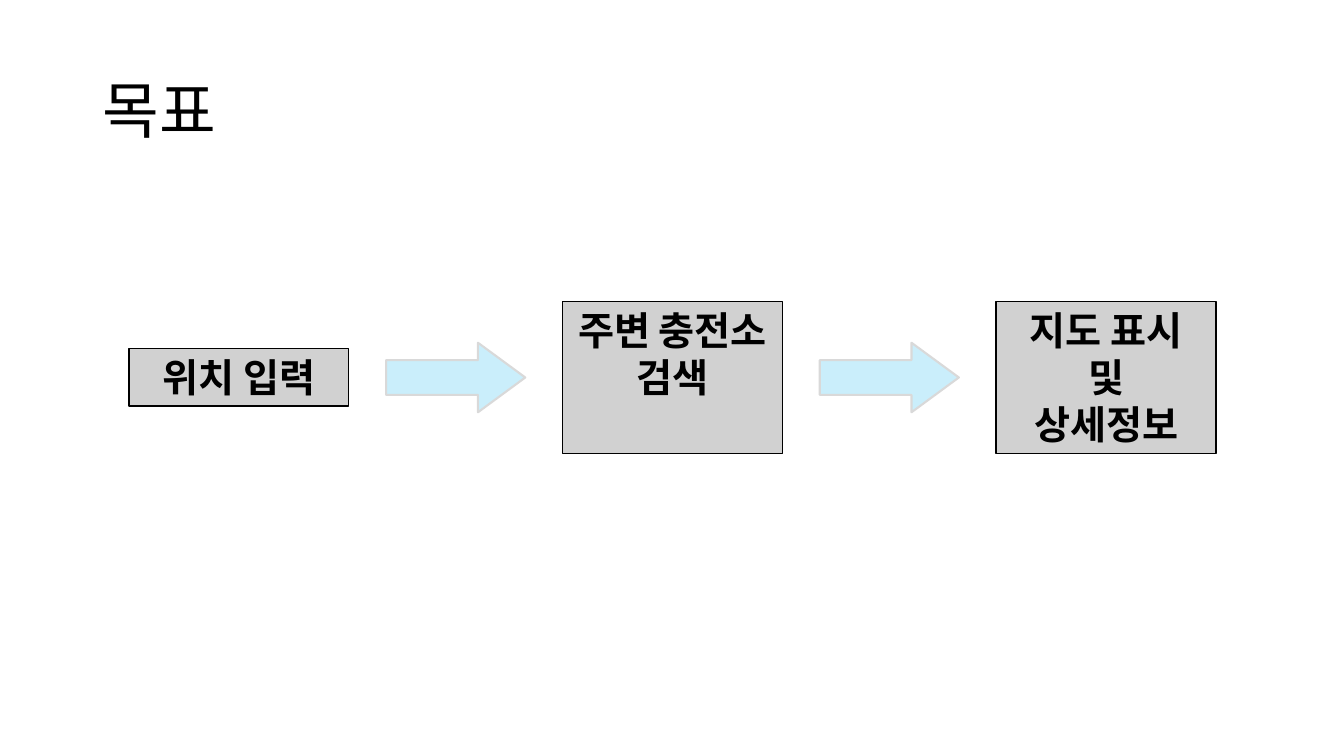
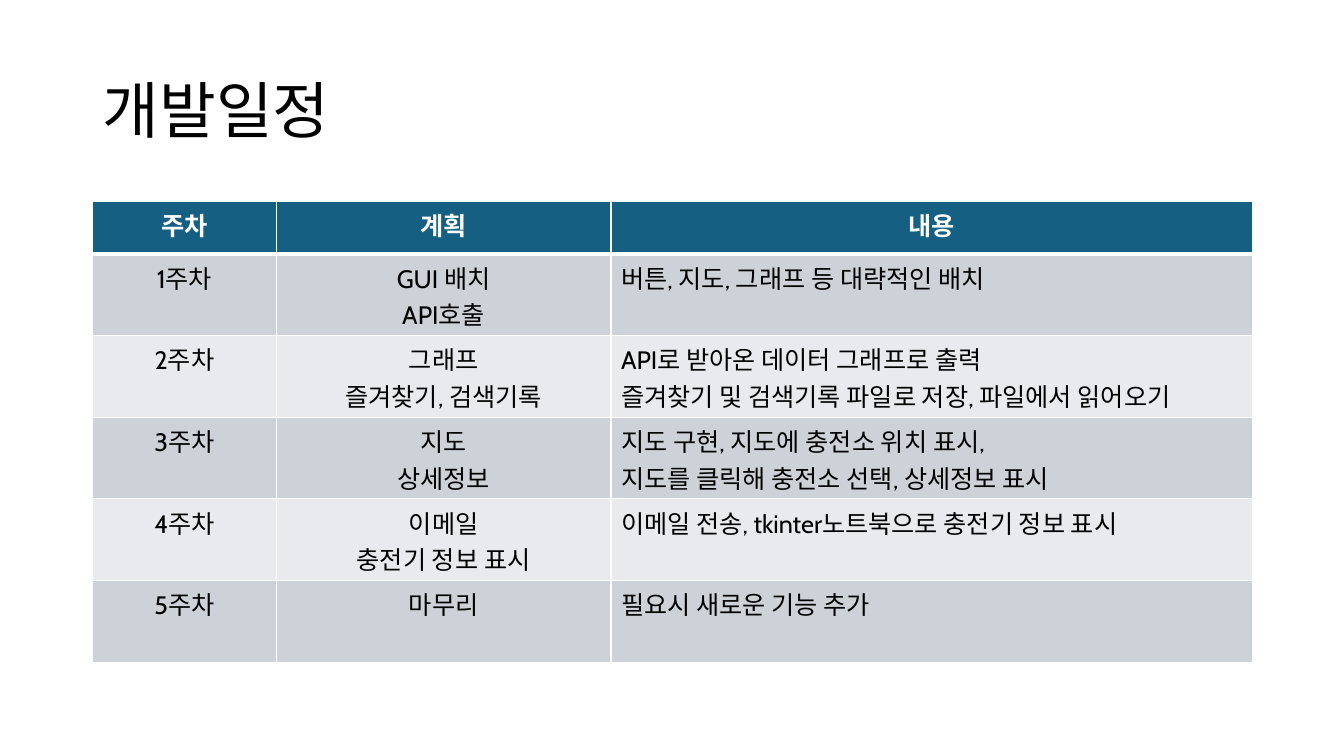
import dataclasses

import lxml.etree
import pptx
import pptx.dml.color
import pptx.enum.shapes
import pptx.enum.text
import pptx.oxml.ns
import pptx.util

Inches = pptx.util.Inches
Pt = pptx.util.Pt
ALIGN = pptx.enum.text.PP_ALIGN
ANCHOR = pptx.enum.text.MSO_ANCHOR
SHAPE = pptx.enum.shapes.MSO_SHAPE


@dataclasses.dataclass(frozen=True)
class Theme:
    font: str = "Cabin"
    text: str = "000000"
    light: str = "FFFFFF"
    step_fill: str = "D1D1D1"
    arrow_fill: str = "CAEEFB"
    arrow_line: str = "D9D9D9"
    header_fill: str = "156082"
    band_fills: tuple = ("CCD2D8", "E8EAED")
    title_size: int = 44
    step_size: int = 28
    table_size: int = 18


THEME = Theme()
TITLE_BOX = (0.92, 0.4, 11.5, 1.45)
FLOW_BOX = (1.28, 2.99, 10.78, 1.51)
TABLE_BOX = (0.92, 2, 11.5, 4.57)

# Each step: its lines of text and the height of its box
STEPS = [
    (["위치 입력"], 0.57),
    (["주변 충전소 검색"], 1.51),
    (["지도 표시", "및", "상세정보"], 1.51),
]

COLUMN_WIDTHS = [1.82, 3.32, 6.36]
HEADER_HEIGHT = 0.52
SCHEDULE = [
    (["주차"], ["계획"], ["내용"]),
    (["1주차"], ["GUI 배치", "API호출"], ["버튼, 지도, 그래프 등 대략적인 배치"]),
    (["2주차"], ["그래프", "즐겨찾기, 검색기록"],
     ["API로 받아온 데이터 그래프로 출력",
      "즐겨찾기 및 검색기록 파일로 저장, 파일에서 읽어오기"]),
    (["3주차"], ["지도", "상세정보"],
     ["지도 구현, 지도에 충전소 위치 표시,",
      "지도를 클릭해 충전소 선택, 상세정보 표시"]),
    (["4주차"], ["이메일", "충전기 정보 표시"],
     ["이메일 전송, tkinter노트북으로 충전기 정보 표시"]),
    (["5주차"], ["마무리"], ["필요시 새로운 기능 추가"]),
]


def rgb(color):
    return pptx.dml.color.RGBColor.from_string(color)


def set_attributes(target, values):
    for name, value in values.items():
        setattr(target, name, value)


def write_lines(text_frame, lines, size, color=THEME.text, bold=False,
                paragraph_format=None):
    """Write one paragraph per line."""
    for index, line in enumerate(lines):
        paragraph = text_frame.add_paragraph() if index else text_frame.paragraphs[0]
        set_attributes(paragraph, paragraph_format or {})
        run = paragraph.add_run()
        run.text = line
        set_attributes(run.font, {"name": THEME.font, "size": Pt(size), "bold": bold})
        run.font.color.rgb = rgb(color)


def add_title(slide, title, box):
    shape = slide.shapes.add_textbox(*map(Inches, box))
    set_attributes(shape.text_frame,
                   {"word_wrap": True, "vertical_anchor": ANCHOR.MIDDLE})
    write_lines(shape.text_frame, [title], THEME.title_size,
                paragraph_format={"line_spacing": 0.9})


def add_filled_shape(slide, kind, box, fill, line, line_width):
    shape = slide.shapes.add_shape(kind, *map(Inches, box))
    shape.shadow.inherit = False
    shape.fill.solid()
    shape.fill.fore_color.rgb = rgb(fill)
    shape.line.color.rgb = rgb(line)
    shape.line.width = Pt(line_width)
    return shape


def add_step(slide, lines, box):
    shape = add_filled_shape(slide, SHAPE.RECTANGLE, box,
                             THEME.step_fill, THEME.text, 1)
    set_attributes(shape.text_frame,
                   {"word_wrap": True, "vertical_anchor": ANCHOR.TOP})
    write_lines(shape.text_frame, lines, THEME.step_size, bold=True,
                paragraph_format={"alignment": ALIGN.CENTER})


def add_flow(slide, steps, box):
    """Spread the steps across the box, with an arrow centred in each gap."""
    left, top, width, height = box
    step_width, arrow_width, arrow_height = 2.18, 1.38, 0.69
    pitch = (width - step_width) / (len(steps) - 1)
    gap = pitch - step_width
    middle = top + height / 2
    for index, (lines, step_height) in enumerate(steps):
        step_left = left + index * pitch
        add_step(slide, lines,
                 (step_left, middle - step_height / 2, step_width, step_height))
        if index < len(steps) - 1:
            arrow_left = step_left + step_width + (gap - arrow_width) / 2
            arrow = add_filled_shape(
                slide, SHAPE.RIGHT_ARROW,
                (arrow_left, middle - arrow_height / 2, arrow_width, arrow_height),
                THEME.arrow_fill, THEME.arrow_line, 1.5)
            arrow.adjustments[1] = 0.68


def set_borders(cell, widths):
    """Draw light borders; widths maps an edge letter to points."""
    properties = cell._tc.get_or_add_tcPr()
    qualified = pptx.oxml.ns.qn
    for edge, width in widths.items():
        line = lxml.etree.SubElement(properties, qualified(f"a:ln{edge}"),
                                     w=str(Pt(width)))
        fill = lxml.etree.SubElement(line, qualified("a:solidFill"))
        lxml.etree.SubElement(fill, qualified("a:srgbClr"), val=THEME.light)


def style_cell(cell, row):
    set_borders(cell, {"L": 1, "R": 1, "T": 3 if row == 1 else 1,
                       "B": 3 if row == 0 else 1})
    band = THEME.band_fills[(row - 1) % len(THEME.band_fills)]
    cell.fill.solid()
    cell.fill.fore_color.rgb = rgb(band if row else THEME.header_fill)


def add_schedule(slide, rows, box):
    table = slide.shapes.add_table(len(rows), len(COLUMN_WIDTHS),
                                   *map(Inches, box)).table
    for column, width in zip(table.columns, COLUMN_WIDTHS):
        column.width = Inches(width)
    body_height = (box[3] - HEADER_HEIGHT) / (len(rows) - 1)
    for row, cells in enumerate(rows):
        table.rows[row].height = Inches(body_height if row else HEADER_HEIGHT)
        for column, lines in enumerate(cells):
            cell = table.cell(row, column)
            style_cell(cell, row)
            is_description = row > 0 and column == len(cells) - 1
            alignment = ALIGN.LEFT if is_description else ALIGN.CENTER
            write_lines(cell.text_frame, lines, THEME.table_size,
                        color=THEME.text if row else THEME.light, bold=row == 0,
                        paragraph_format={"alignment": alignment})


def add_slide(presentation, title):
    slide = presentation.slides.add_slide(presentation.slide_layouts[6])
    add_title(slide, title, TITLE_BOX)
    return slide


def main():
    presentation = pptx.Presentation()
    set_attributes(presentation, {"slide_width": Inches(13.33),
                                  "slide_height": Inches(7.5)})
    add_flow(add_slide(presentation, "목표"), STEPS, FLOW_BOX)
    add_schedule(add_slide(presentation, "개발일정"), SCHEDULE, TABLE_BOX)
    presentation.save("out.pptx")


if __name__ == "__main__":
    main()
